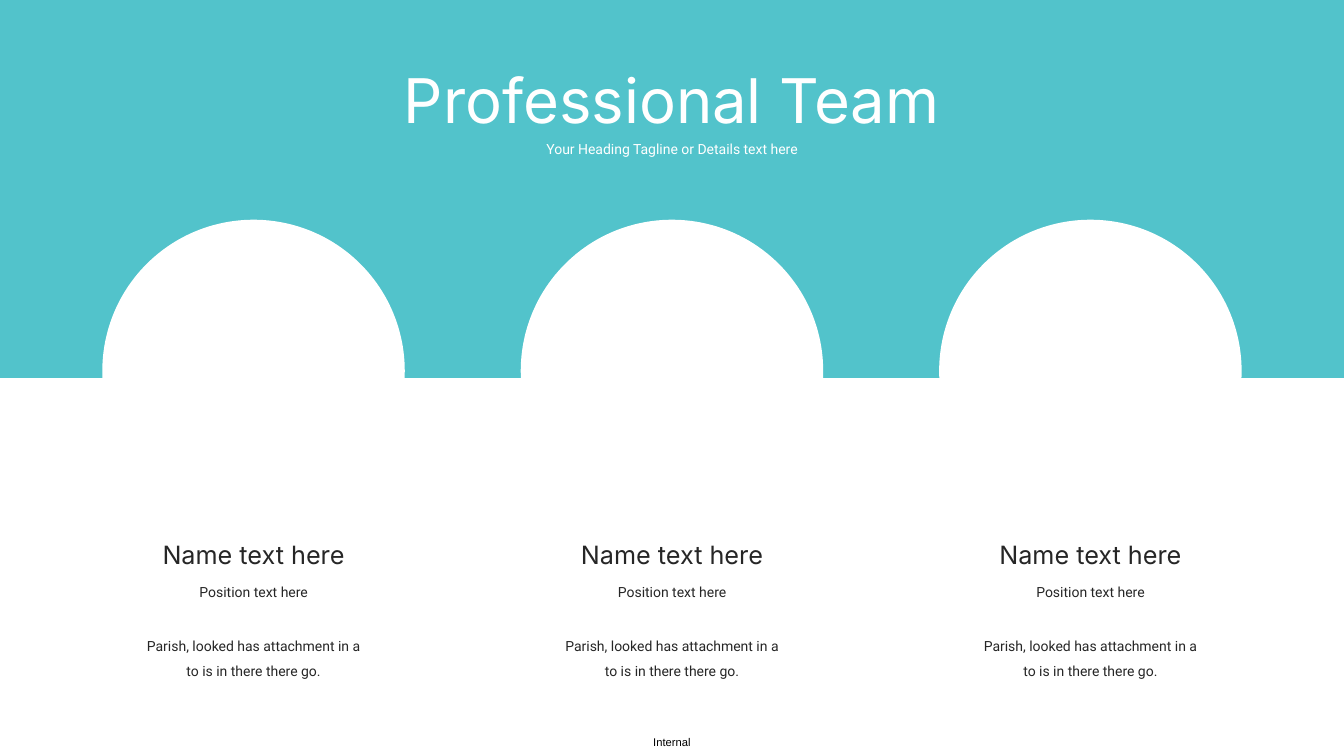
from dataclasses import dataclass

from pptx import Presentation
from pptx.dml.color import RGBColor
from pptx.enum.shapes import MSO_SHAPE
from pptx.enum.text import MSO_AUTO_SIZE, PP_ALIGN
from pptx.util import Inches, Pt

RECT, OVAL = MSO_SHAPE.RECTANGLE, MSO_SHAPE.OVAL
CENTER = PP_ALIGN.CENTER
FIT_SHAPE = MSO_AUTO_SIZE.SHAPE_TO_FIT_TEXT

WIDTH, HEIGHT = 13.33, 7.5
MIDDLE = WIDTH / 2
COLUMN_STEP = 4.15
PORTRAIT = 3.0
TEAL, WHITE, DARK, BLACK = "52C3CB", "FFFFFF", "262626", "000000"
HEADING, BODY, FOOTER = "Inter", "Roboto", "Arial"


@dataclass
class Member:
    name: str
    position: str
    details: str


MEMBERS = [
    Member("Name text here", "Position text here",
           "Parish, looked has attachment in a to is in there there go.")
] * 3

prs = Presentation()
prs.slide_width, prs.slide_height = Inches(WIDTH), Inches(HEIGHT)
s = prs.slides.add_slide(prs.slide_layouts[6])


def color(value: str) -> RGBColor:
    return RGBColor.from_string(value)


def add_block(kind: MSO_SHAPE, left: float, top: float,
              width: float, height: float, fill: str) -> None:
    sp = s.shapes.add_shape(kind, Inches(left), Inches(top),
                            Inches(width), Inches(height))
    sp.shadow.inherit = False
    sp.fill.solid()
    sp.fill.fore_color.rgb = color(fill)
    sp.line.fill.background()


def add_text(text: str, center: float, top: float, width: float, height: float,
             *, size: float, font: str = BODY, ink: str = DARK,
             spacing: float = 1.0, inset: bool = True) -> None:
    """Place centred text around a vertical axis."""
    sp = s.shapes.add_textbox(Inches(center - width / 2), Inches(top),
                              Inches(width), Inches(height))
    tf = sp.text_frame
    tf.word_wrap = True
    tf.auto_size = FIT_SHAPE
    if not inset:
        tf.margin_left = tf.margin_right = tf.margin_top = tf.margin_bottom = 0
    p = tf.paragraphs[0]
    p.alignment = CENTER
    p.line_spacing = spacing
    r = p.add_run()
    r.text = text
    r.font.size, r.font.name = Pt(size), font
    r.font.color.rgb = color(ink)


def add_member(member: Member, center: float) -> None:
    add_block(OVAL, center - PORTRAIT / 2, 2.18, PORTRAIT, PORTRAIT, WHITE)
    add_text(member.name, center, 5.3, 2.1, 0.4, size=18, font=HEADING)
    add_text(member.position, center, 5.66, 1.32, 0.33, size=10, spacing=1.5)
    add_text(member.details, center, 6.19, 2.43, 0.58, size=10, spacing=1.5)


# Header band
add_block(RECT, 0, 0, WIDTH, HEIGHT / 2, TEAL)
add_text("Professional Team", MIDDLE, 0.57, 5.88, 0.84,
         size=44, font=HEADING, ink=WHITE)
add_text("Your Heading Tagline or Details text here", MIDDLE, 1.34, 2.81, 0.27,
         size=10, ink=WHITE)

# Team columns, spread evenly around the middle
for column, member in enumerate(MEMBERS):
    add_member(member, MIDDLE + (column - 1) * COLUMN_STEP)

# Footer label
add_text("Internal", MIDDLE, 7.3, 0.4, 0.13,
         size=8, font=FOOTER, ink=BLACK, inset=False)

prs.save("out.pptx")
